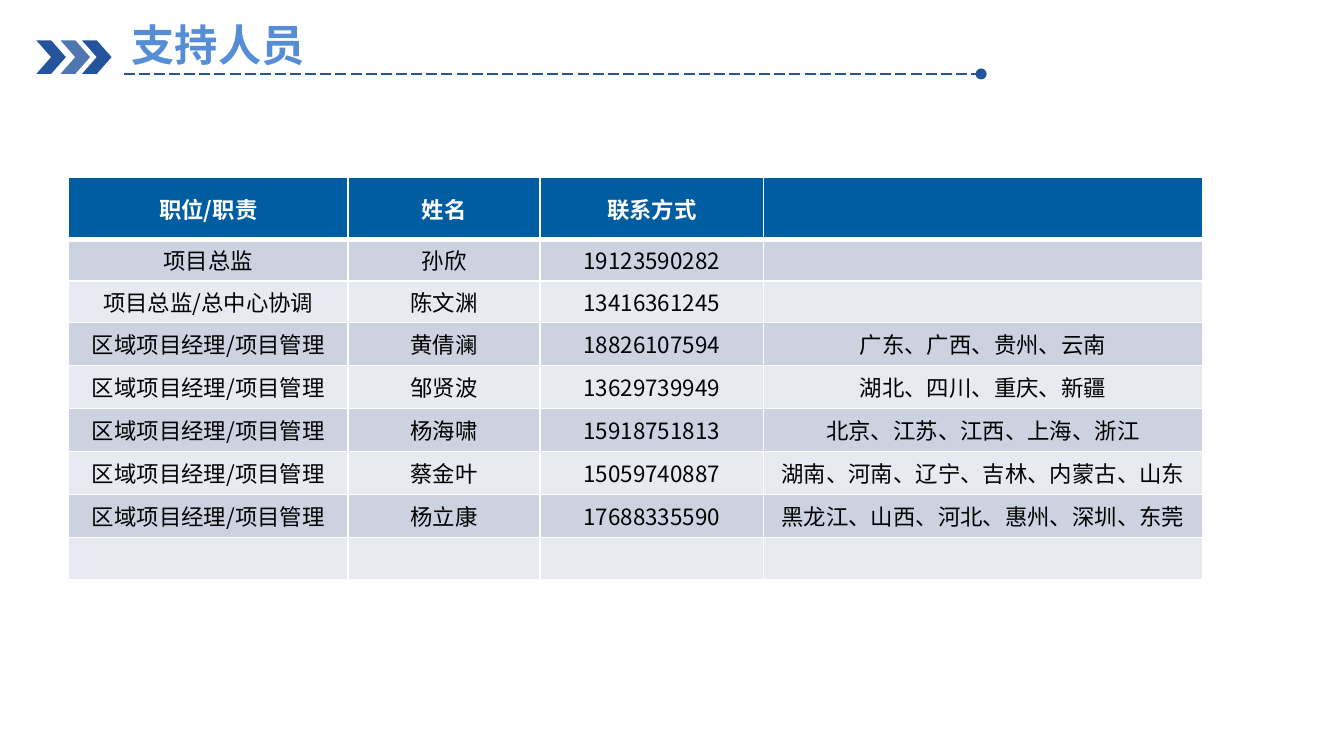
from lxml import etree
from pptx import Presentation
from pptx import util as u
from pptx.dml.color import RGBColor
from pptx.enum import dml, shapes, text
from pptx.oxml import ns

FONT = "Noto Sans CJK SC"
COLORS = {
    "navy": "24549C", "title": "558ED5", "header": "005DA2", "white": "FFFFFF",
    "black": "000000", "odd": "CCD2E0", "even": "E7EAF0",
}
SLIDE_WIDTH = 10
SLIDE_HEIGHT = SLIDE_WIDTH * 9 / 16
MANAGER = "区域项目经理/项目管理"
STAFF = [
    ("职位/职责", "姓名", "联系方式", ""),
    ("项目总监", "孙欣", "19123590282", ""),
    ("项目总监/总中心协调", "陈文渊", "13416361245", ""),
    (MANAGER, "黄倩澜", "18826107594", "广东、广西、贵州、云南"),
    (MANAGER, "邹贤波", "13629739949", "湖北、四川、重庆、新疆"),
    (MANAGER, "杨海啸", "15918751813", "北京、江苏、江西、上海、浙江"),
    (MANAGER, "蔡金叶", "15059740887", "湖南、河南、辽宁、吉林、内蒙古、山东"),
    (MANAGER, "杨立康", "17688335590", "黑龙江、山西、河北、惠州、深圳、东莞"),
    ("", "", "", ""),
]
COLUMN_WIDTHS = [2.08, 1.43, 1.66, 3.27]
ROW_HEIGHTS = [0.46, 0.31, 0.31] + [0.32] * 6


def rgb(name):
    return RGBColor.from_string(COLORS[name])


def add_child(parent, tag, **attributes):
    return etree.SubElement(parent, ns.qn(tag), **attributes)


def format_runs(paragraph, size, color, bold):
    for run in paragraph.runs:
        run.font.name = FONT
        run.font.size = u.Pt(size)
        run.font.bold = bold
        run.font.color.rgb = rgb(color)
        add_child(run.font._element, "a:ea", typeface=FONT)


def add_chevrons(slide, left, top, width, height):
    # Three overlapping arrows, the middle one lighter and at the back
    for offset, is_light in ((0.18, True), (0.34, False), (0, False)):
        chevron = slide.shapes.add_shape(
            shapes.MSO_SHAPE.CHEVRON, u.Inches(left + offset), u.Inches(top),
            u.Inches(width - 0.34), u.Inches(height))
        chevron.shadow.inherit = False
        chevron.fill.solid()
        chevron.fill.fore_color.rgb = rgb("navy")
        chevron.line.fill.background()
        if is_light:
            color = chevron.fill._xPr.find(".//" + ns.qn("a:srgbClr"))
            add_child(color, "a:alpha", val="80000")


def add_heading(slide, left, top, width, height):
    add_chevrons(slide, left, top + 0.16, 0.56, 0.25)

    # Dashed rule with a round end
    rule_y = u.Inches(top + height)
    rule = slide.shapes.add_connector(
        shapes.MSO_CONNECTOR.STRAIGHT, u.Inches(left + 0.65), rule_y,
        u.Inches(left + width), rule_y)
    rule.line.color.rgb = rgb("navy")
    rule.line.width = u.Pt(0.75)
    rule.line.dash_style = dml.MSO_LINE.LONG_DASH
    add_child(rule.line._ln, "a:tailEnd", type="oval")
    add_child(rule._element.spPr, "a:effectLst")

    # Title
    title = slide.shapes.add_textbox(
        u.Inches(left + 0.64), u.Inches(top), u.Inches(6.01), u.Inches(0.33))
    frame = title.text_frame
    frame.word_wrap = True
    frame.margin_left = frame.margin_right = u.Inches(0.07)
    frame.margin_top = frame.margin_bottom = u.Inches(0.04)
    frame.text = "支持人员"
    paragraph = frame.paragraphs[0]
    paragraph.line_spacing = 0.9
    paragraph.space_before = u.Pt(10)
    format_runs(paragraph, 23.2, "title", True)


def set_borders(cell, is_header):
    properties = cell._tc.get_or_add_tcPr()
    for position, side in enumerate(("L", "R", "T", "B")):
        heavy = is_header and side == "B"
        border = etree.Element(ns.qn("a:ln" + side), w=str(u.Pt(3 if heavy else 1)))
        fill = add_child(border, "a:solidFill")
        add_child(fill, "a:srgbClr", val=COLORS["white"])
        properties.insert(position, border)


def fill_cell(cell, value, row):
    is_header = row == 0
    cell.margin_left = cell.margin_right = cell.margin_top = cell.margin_bottom = 0
    cell.vertical_anchor = text.MSO_ANCHOR.MIDDLE
    cell.fill.solid()
    cell.fill.fore_color.rgb = rgb("header" if is_header else "odd" if row % 2 else "even")
    set_borders(cell, is_header)
    paragraph = cell.text_frame.paragraphs[0]
    paragraph.alignment = text.PP_ALIGN.CENTER
    if value:
        paragraph.text = value
        format_runs(paragraph, 12, "white" if is_header else "black", is_header)
    else:
        # Keeps an empty cell from stretching its row
        add_child(paragraph._p, "a:endParaRPr", sz="1200")


def add_staff_table(slide, left, top, width, height):
    table = slide.shapes.add_table(
        len(STAFF), len(COLUMN_WIDTHS), u.Inches(left), u.Inches(top),
        u.Inches(width), u.Inches(height)).table
    for column, column_width in zip(table.columns, COLUMN_WIDTHS):
        column.width = u.Inches(column_width)
    for row, row_height in zip(table.rows, ROW_HEIGHTS):
        row.height = u.Inches(row_height)
    for row, values in enumerate(STAFF):
        for column, value in enumerate(values):
            fill_cell(table.cell(row, column), value, row)


def main():
    presentation = Presentation()
    presentation.slide_width = u.Inches(SLIDE_WIDTH)
    presentation.slide_height = u.Inches(SLIDE_HEIGHT)
    slide = presentation.slides.add_slide(presentation.slide_layouts[6])
    add_heading(slide, 0.27, 0.14, 7.03, 0.41)
    add_staff_table(slide, 0.51, 1.32, sum(COLUMN_WIDTHS), sum(ROW_HEIGHTS))
    presentation.save("out.pptx")


if __name__ == "__main__":
    main()
